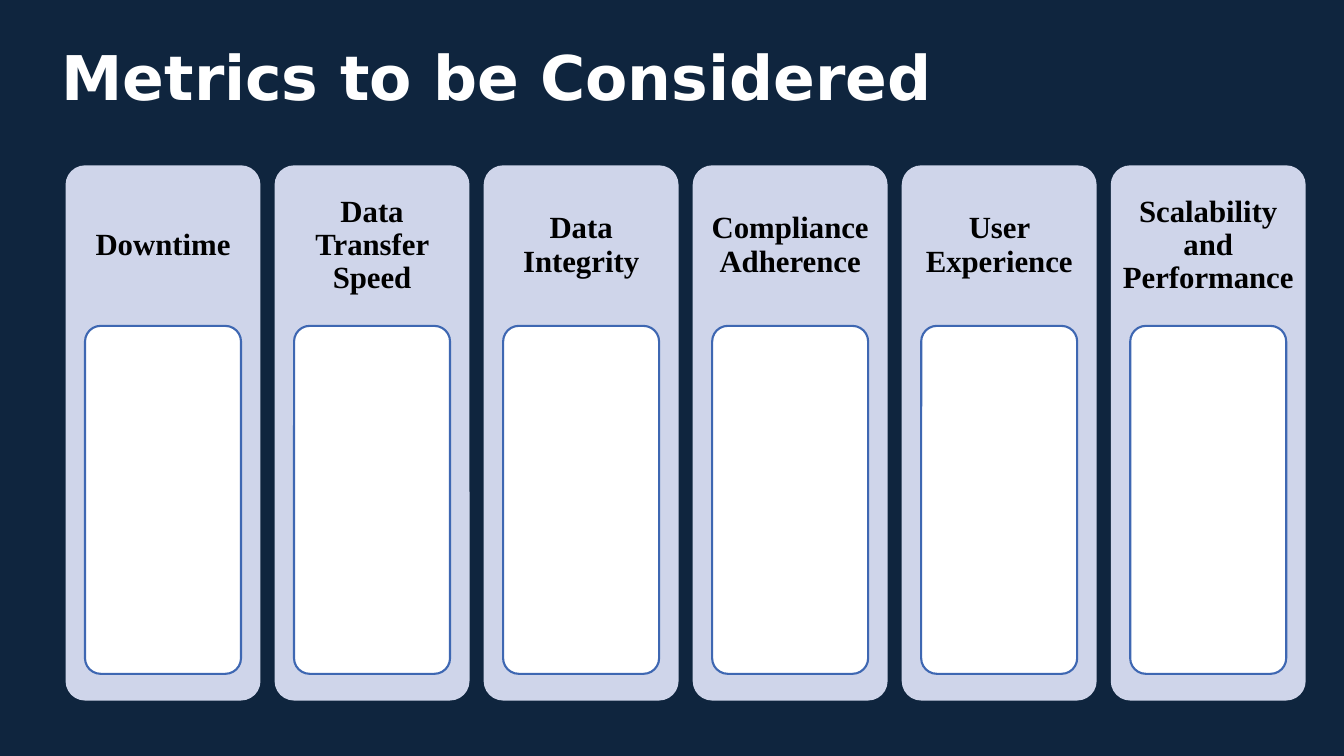
from dataclasses import dataclass

from pptx import Presentation
from pptx.dml.color import RGBColor
from pptx.enum.shapes import MSO_SHAPE
from pptx.enum.text import MSO_ANCHOR, MSO_AUTO_SIZE, PP_ALIGN
from pptx.util import Inches, Pt


@dataclass(frozen=True)
class Theme:
    """Colours, fonts and type sizes of the slide."""
    background: RGBColor = RGBColor.from_string("0F253E")
    column: RGBColor = RGBColor.from_string("CFD5EA")
    panel: RGBColor = RGBColor.from_string("FFFFFF")
    panel_border: RGBColor = RGBColor.from_string("3E67B2")
    title_text: RGBColor = RGBColor.from_string("FFFFFF")
    heading_text: RGBColor = RGBColor.from_string("000000")
    title_font: str = "DejaVu Sans"
    heading_font: str = "Times New Roman"
    title_size: int = 44
    heading_size: int = 22


THEME = Theme()
METRICS = [
    "Downtime",
    "Data Transfer Speed",
    "Data Integrity",
    "Compliance Adherence",
    "User Experience",
    "Scalability and Performance",
]


def apply_format(target, values):
    """Set each named attribute of the target."""
    for attribute, value in values.items():
        setattr(target, attribute, value)


def write_text(frame, text, align, anchor, inset, font, size, color):
    """Write one bold paragraph into a text frame."""
    apply_format(frame, {
        "text": text, "word_wrap": True, "auto_size": MSO_AUTO_SIZE.NONE,
        "vertical_anchor": anchor,
        "margin_left": Inches(inset), "margin_right": Inches(inset),
    })
    paragraph = frame.paragraphs[0]
    apply_format(paragraph, {"alignment": align, "line_spacing": 0.9})
    apply_format(paragraph.font, {"name": font, "size": Pt(size), "bold": True})
    paragraph.font.color.rgb = color


def add_title(slide, text, left, top, width, height):
    """Place the slide title in its placeholder."""
    title = slide.shapes.title
    apply_format(title, {
        "left": Inches(left), "top": Inches(top),
        "width": Inches(width), "height": Inches(height),
    })
    write_text(title.text_frame, text, PP_ALIGN.LEFT, MSO_ANCHOR.BOTTOM, 0.1,
               THEME.title_font, THEME.title_size, THEME.title_text)


def add_card(slide, left, top, width, height, fill, border=None):
    """Draw a rounded card, with a border if a colour is given."""
    card = slide.shapes.add_shape(
        MSO_SHAPE.ROUNDED_RECTANGLE,
        Inches(left), Inches(top), Inches(width), Inches(height))
    card.adjustments[0] = 0.1
    card.shadow.inherit = False
    card.fill.solid()
    card.fill.fore_color.rgb = fill
    if border is None:
        card.line.fill.background()
    else:
        card.line.color.rgb = border
        card.line.width = Pt(1.5)


def add_metric(slide, metric, left, top, width, height):
    """Draw a metric column: card, heading and blank panel."""
    heading_height = height * 0.3
    panel_width = width * 0.8
    add_card(slide, left, top, width, height, THEME.column)
    heading = slide.shapes.add_textbox(
        Inches(left), Inches(top), Inches(width), Inches(heading_height))
    write_text(heading.text_frame, metric, PP_ALIGN.CENTER, MSO_ANCHOR.MIDDLE, 0.09,
               THEME.heading_font, THEME.heading_size, THEME.heading_text)
    add_card(slide, left + (width - panel_width) / 2, top + heading_height,
             panel_width, height * 0.65, THEME.panel, THEME.panel_border)


def add_metrics(slide, metrics, left, top, width, height, gap):
    """Spread the metric columns evenly over the box."""
    column_width = (width - gap * (len(metrics) - 1)) / len(metrics)
    for index, metric in enumerate(metrics):
        add_metric(slide, metric, left + index * (column_width + gap), top,
                   column_width, height)


def main():
    """Build and save the slide."""
    deck = Presentation()
    apply_format(deck, {"slide_width": Inches(13.33), "slide_height": Inches(7.5)})
    slide = deck.slides.add_slide(deck.slide_layouts[5])
    slide.background.fill.solid()
    slide.background.fill.fore_color.rgb = THEME.background
    add_title(slide, "Metrics to be Considered", 0.51, 0.35, 11.5, 0.83)
    add_metrics(slide, METRICS, 0.65, 1.64, 12.3, 5.31, 0.14)
    deck.save("out.pptx")


if __name__ == "__main__":
    main()
